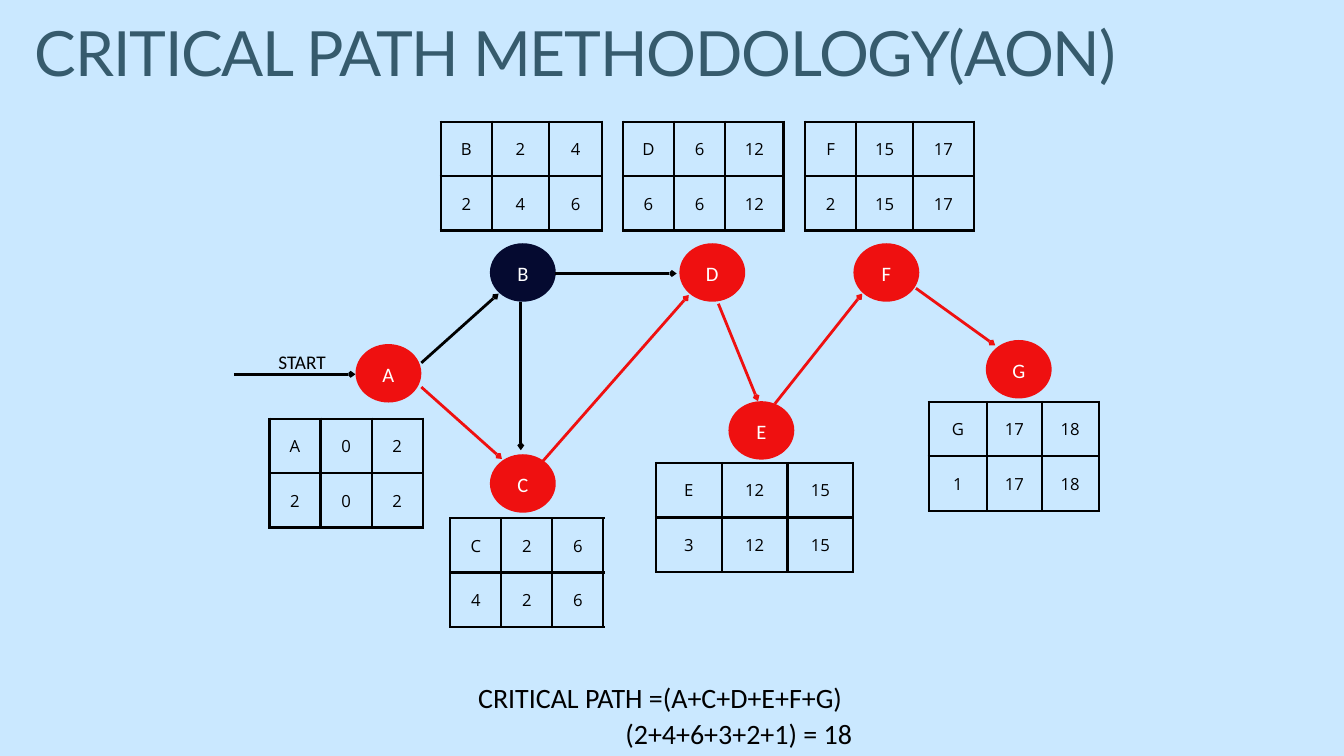
from lxml import etree
from pptx import Presentation
from pptx.dml.color import RGBColor
from pptx.enum import shapes, text
from pptx.oxml import ns
from pptx.util import Inches, Pt

SKY = RGBColor(0xCA, 0xE8, 0xFF)
TEAL = RGBColor(0x36, 0x5B, 0x6D)
RED = RGBColor(0xEF, 0x10, 0x10)
NAVY = RGBColor(0x05, 0x0A, 0x30)
BLACK = RGBColor(0, 0, 0)
WHITE = RGBColor(255, 255, 255)

# Content
TITLE = "CRITICAL PATH METHODOLOGY(AON)"
START = "START"
SUMMARY = [("CRITICAL PATH =(A+C+D+E+F+G)", 0), ("(2+4+6+3+2+1) = 18", 2.34)]  # text, indent

# Activity tables: left, top, column widths, rows
TABLES = [
    (9.76, 6.89, (0.98, 0.98, 0.98), [("E", "12", "15"), ("3", "12", "15")]),
    (11.98, 1.81, (0.76, 0.85, 0.9), [("F", "15", "17"), ("2", "15", "17")]),
    (9.27, 1.81, (0.76, 0.76, 0.87), [("D", "6", "12"), ("6", "6", "12")]),
    (6.56, 1.81, (0.76, 0.85, 0.79), [("B", "2", "4"), ("2", "4", "6")]),
    (13.82, 5.98, (0.87, 0.81, 0.85), [("G", "17", "18"), ("1", "17", "18")]),
    (4.01, 6.23, (0.76, 0.76, 0.76), [("A", "0", "2"), ("2", "0", "2")]),
    (6.7, 7.71, (0.76, 0.76, 0.76), [("C", "2", "6"), ("4", "2", "6")]),
]
ROW_HEIGHT = 0.81

# Network nodes: name, left, top, colour
NODES = [
    ("A", 5.29, 5.12, RED), ("D", 10.11, 3.62, RED), ("E", 10.84, 5.97, RED),
    ("G", 14.67, 5.06, RED), ("B", 7.29, 3.62, NAVY), ("F", 12.7, 3.62, RED),
    ("C", 7.29, 6.76, RED),
]
NODE_WIDTH, NODE_HEIGHT = 0.98, 0.87

# Arrows: start point, end point, colour (red marks the critical path)
ARROWS = [
    ((3.48, 5.57), (5.29, 5.57), BLACK),   # start to A
    ((6.27, 5.4), (7.42, 4.37), BLACK),    # A to B
    ((6.27, 5.76), (7.47, 6.83), RED),     # A to C
    ((8.26, 4.07), (10.07, 4.07), BLACK),  # B to D
    ((10.69, 4.52), (11.28, 5.97), RED),   # D to E
    ((11.53, 6.01), (12.83, 4.37), RED),   # E to F
    ((13.63, 4.29), (14.81, 5.14), RED),   # F to G
    ((7.75, 4.49), (7.75, 6.7), BLACK),    # B to C
    ((8.08, 6.86), (10.25, 4.39), RED),    # C to D
]


def add_element(parent, tag, **attributes):
    return etree.SubElement(parent, ns.qn(tag), attributes)


def add_run(paragraph, words, font, size, color, spacing, align=text.PP_ALIGN.CENTER):
    paragraph.alignment = align
    paragraph.line_spacing = Pt(spacing)
    run = paragraph.add_run()
    run.text = words
    run.font.name = font
    run.font.size = Pt(size)
    run.font.color.rgb = color
    return run


def set_frame(frame, anchor=text.MSO_ANCHOR.TOP):
    frame.margin_left = frame.margin_right = frame.margin_top = frame.margin_bottom = 0
    frame.word_wrap = True
    frame.auto_size = text.MSO_AUTO_SIZE.NONE
    frame.vertical_anchor = anchor


def add_text_box(slide, left, top, width, height):
    box = slide.shapes.add_textbox(Inches(left), Inches(top), Inches(width), Inches(height))
    set_frame(box.text_frame)
    return box.text_frame


def format_cell(cell, words):
    cell.margin_left = cell.margin_right = Inches(0.2)
    cell.margin_top = cell.margin_bottom = Inches(0.2)
    cell.vertical_anchor = text.MSO_ANCHOR.MIDDLE
    properties = cell._tc.get_or_add_tcPr()
    for side in ("a:lnL", "a:lnR", "a:lnT", "a:lnB"):
        border = add_element(properties, side, w=str(Pt(2.65)))
        add_element(add_element(border, "a:solidFill"), "a:srgbClr", val=str(BLACK))
    cell.fill.background()
    add_run(cell.text_frame.paragraphs[0], words, "Open Sans", 17.9, BLACK, 25)


def add_activity_table(slide, left, top, widths, rows):
    table = slide.shapes.add_table(
        len(rows), len(widths), Inches(left), Inches(top),
        Inches(sum(widths)), Inches(ROW_HEIGHT * len(rows))).table
    table.first_row = table.horz_banding = False
    for column, width in zip(table.columns, widths):
        column.width = Inches(width)
    for row, values in zip(table.rows, rows):
        row.height = Inches(ROW_HEIGHT)
        for cell, value in zip(row.cells, values):
            format_cell(cell, value)


def add_node(slide, name, left, top, color):
    node = slide.shapes.add_shape(
        shapes.MSO_SHAPE.OVAL, Inches(left), Inches(top),
        Inches(NODE_WIDTH), Inches(NODE_HEIGHT))
    node.shadow.inherit = False
    node.fill.solid()
    node.fill.fore_color.rgb = color
    node.line.fill.background()
    set_frame(node.text_frame, text.MSO_ANCHOR.MIDDLE)
    add_run(node.text_frame.paragraphs[0], name, "Calibri", 22, WHITE, 28.6)


def add_arrow(slide, start, end, color):
    arrow = slide.shapes.add_connector(
        shapes.MSO_CONNECTOR.STRAIGHT, *(Inches(value) for value in start + end))
    arrow.line.color.rgb = color
    arrow.line.width = Pt(3)
    add_element(arrow.line._get_or_add_ln(), "a:tailEnd", type="arrow", w="sm", len="sm")
    add_element(arrow._element.spPr, "a:effectLst")


def main():
    presentation = Presentation()
    presentation.slide_width, presentation.slide_height = Inches(20), Inches(11.25)
    slide = presentation.slides.add_slide(presentation.slide_layouts[5])
    slide.background.fill.solid()
    slide.background.fill.fore_color.rgb = SKY

    # Title
    title = slide.shapes.title
    title.left, title.top = Inches(0.52), Inches(0.05)
    title.width, title.height = Inches(18.95), Inches(1.24)
    set_frame(title.text_frame)
    run = add_run(title.text_frame.paragraphs[0], TITLE, "Lato", 66.8, TEAL, 92.2,
                  text.PP_ALIGN.LEFT)
    run.font._element.set("spc", "-130")

    # Tables, nodes and arrows
    for table in TABLES:
        add_activity_table(slide, *table)
    for node in NODES:
        add_node(slide, *node)
    for arrow in ARROWS:
        add_arrow(slide, *arrow)

    # Start label
    label = add_text_box(slide, 4.01, 5.19, 0.97, 0.36)
    add_run(label.paragraphs[0], START, "Calibri", 20.7, BLACK, 26.9)

    # Critical path summary
    summary = add_text_box(slide, 4.01, 10.08, 11.63, 1.06)
    for index, (words, indent) in enumerate(SUMMARY):
        paragraph = summary.add_paragraph() if index else summary.paragraphs[0]
        add_run(paragraph, words, "Calibri", 30, BLACK, 39)
        paragraph._p.get_or_add_pPr().set("marL", str(Inches(indent)))

    presentation.save("out.pptx")


if __name__ == "__main__":
    main()
